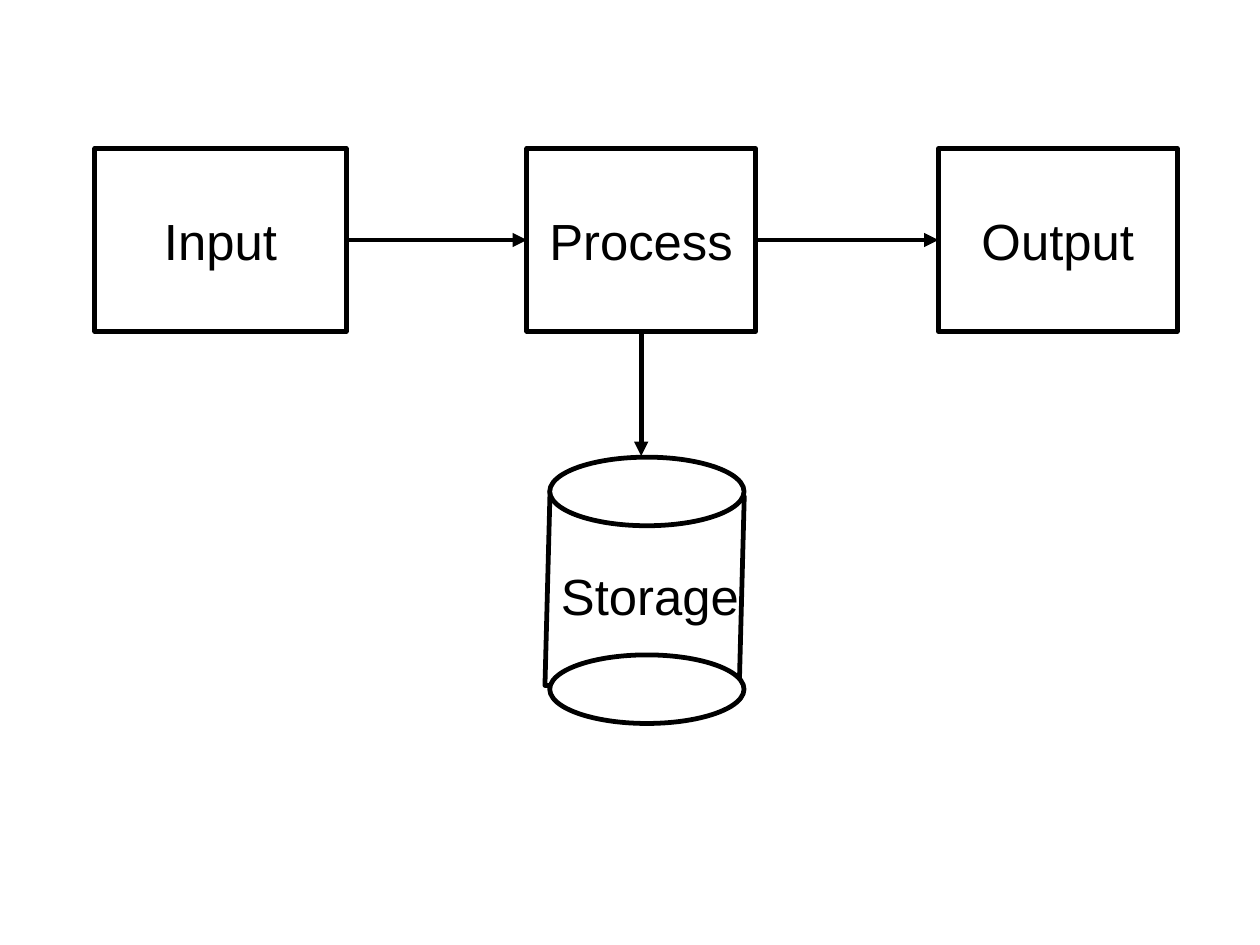
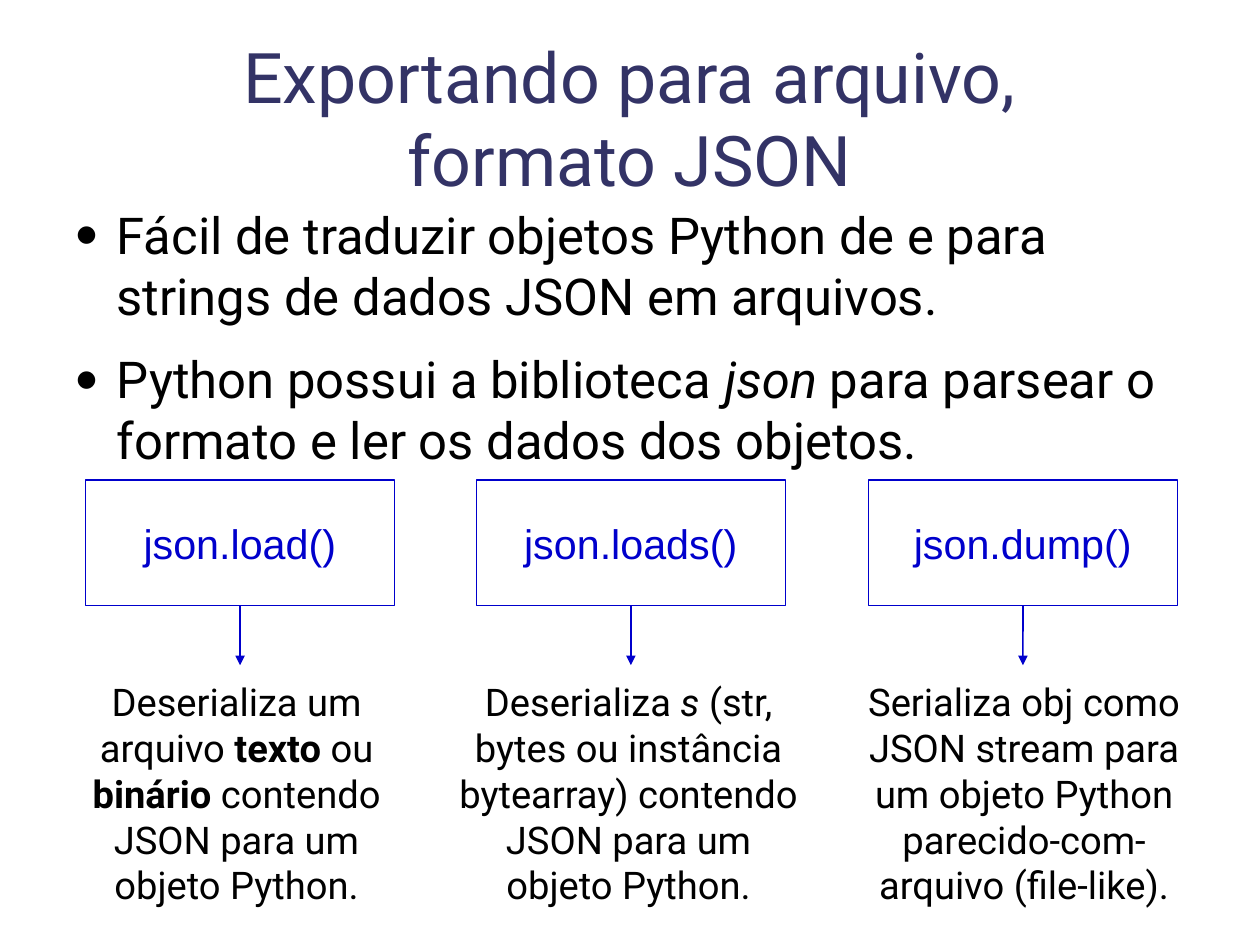
from lxml import etree
from pptx import Presentation
from pptx.dml.color import RGBColor
from pptx.enum.shapes import MSO_CONNECTOR, MSO_SHAPE
from pptx.enum.text import MSO_ANCHOR, PP_ALIGN
from pptx.oxml.ns import qn
from pptx.util import Inches, Pt

STRAIGHT = MSO_CONNECTOR.STRAIGHT
RECT, OVAL = MSO_SHAPE.RECTANGLE, MSO_SHAPE.OVAL
TOP, MIDDLE = MSO_ANCHOR.TOP, MSO_ANCHOR.MIDDLE
LEFT, CENTER = PP_ALIGN.LEFT, PP_ALIGN.CENTER
SIDE_LEFT, SIDE_BOTTOM, SIDE_RIGHT = 1, 2, 3

CM_PER_INCH = 2.54
SLIDE_W, SLIDE_H = Inches(28 / CM_PER_INCH), Inches(21 / CM_PER_INCH)

BLACK = RGBColor(0x00, 0x00, 0x00)
WHITE = RGBColor(0xFF, 0xFF, 0xFF)
NAVY = RGBColor(0x33, 0x33, 0x66)
BLUE = RGBColor(0x00, 0x00, 0xCC)
ARIAL, ROBOTO = "Arial", "Roboto"


def add_runs(p, runs, size, font, color):
    for text, style in runs:
        r = p.add_run()
        r.text = text
        r.font.size = Pt(size)
        r.font.name = font
        r.font.color.rgb = color
        r.font.bold = style == "b"
        r.font.italic = style == "i"


def add_box(slide, kind, at, color, width, label=None, size=32):
    sp = slide.shapes.add_shape(kind, *map(Inches, at))
    sp.shadow.inherit = False
    sp.fill.solid()
    sp.fill.fore_color.rgb = WHITE
    sp.line.color.rgb = color
    sp.line.width = Pt(width)
    if label:
        tf = sp.text_frame
        tf.word_wrap = False
        tf.vertical_anchor = MIDDLE
        p = tf.paragraphs[0]
        p.alignment = CENTER
        add_runs(p, [(label, "")], size, ARIAL, color)
    return sp


def add_arrow(slide, box, side, end, color, width, target=None):
    x, y = map(Inches, end)
    cxn = slide.shapes.add_connector(STRAIGHT, x, y, x, y)
    cxn.begin_connect(box, side)
    if target:
        cxn.end_connect(target, SIDE_LEFT)
    cxn.line.color.rgb = color
    cxn.line.width = Pt(width)
    etree.SubElement(cxn.line._get_or_add_ln(), qn("a:tailEnd"), type="triangle")
    etree.SubElement(cxn._element.spPr, qn("a:effectLst"))


def add_text(slide, at, size, font=ROBOTO, runs=(), align=LEFT, color=BLACK,
             insets=(0.1, 0.05), anchor=TOP):
    tf = slide.shapes.add_textbox(*map(Inches, at)).text_frame
    tf.word_wrap = True
    tf.vertical_anchor = anchor
    tf.margin_left = tf.margin_right = Inches(insets[0])
    tf.margin_top = tf.margin_bottom = Inches(insets[1])
    p = tf.paragraphs[0]
    p.alignment = align
    add_runs(p, runs, size, font, color)
    return tf


def add_title(slide, lines):
    tf = add_text(slide, (0.55, 0.19, 9.92, 1.67), 44, align=CENTER,
                  insets=(0, 0), anchor=MIDDLE)
    p = tf.paragraphs[0]
    for i, line in enumerate(lines):
        if i:
            p.add_line_break()
        add_runs(p, [(line, "")], 44, ROBOTO, NAVY)


def add_bullets(slide, items):
    tf = add_text(slide, (0.55, 1.78, 9.92, 4.79), 32, insets=(0, 0))
    for i, runs in enumerate(items):
        p = tf.add_paragraph() if i else tf.paragraphs[0]
        p.space_before = Pt(14.2)
        add_runs(p, runs, 32, ROBOTO, BLACK)
        pPr = p._p.get_or_add_pPr()
        pPr.set("marL", str(Inches(0.47)))
        pPr.set("indent", str(Inches(-0.35)))
        etree.SubElement(pPr, qn("a:buSzPct"), val="45000")
        etree.SubElement(pPr, qn("a:buFont"), typeface=ROBOTO)
        etree.SubElement(pPr, qn("a:buChar"), char="●")


def build_flow(slide):
    add_box(slide, RECT, (4.79, 4.32, 1.7, 1.7), BLACK, 3).rotation = 1.5
    source, process, output = [
        add_box(slide, RECT, (x, 1.3, w, 1.6), BLACK, 3, label)
        for label, x, w in (("Input", 0.83, 2.2), ("Process", 4.61, 2),
                            ("Output", 8.21, 2.09))]
    add_arrow(slide, source, SIDE_RIGHT, (4.61, 2.1), BLACK, 3, process)
    add_arrow(slide, process, SIDE_RIGHT, (8.21, 2.1), BLACK, 3, output)
    add_arrow(slide, process, SIDE_BOTTOM, (5.61, 3.99), BLACK, 3)
    for y in (4, 5.73):
        add_box(slide, OVAL, (4.81, y, 1.7, 0.6), BLACK, 3)
    add_text(slide, (4.81, 4.89, 1.9, 0.6), 32, ARIAL, [("Storage", "")])


def build_json(slide):
    add_title(slide, ("Exportando para arquivo,", "formato JSON"))
    add_bullets(slide, (
        [("Fácil de traduzir objetos Python de e para strings de dados JSON "
          "em arquivos.", "")],
        [("Python possui a biblioteca ", ""), ("json", "i"),
         (" para parsear o formato e ler os dados dos objetos.", "")],
    ))
    functions = (
        ("json.load()", 0.75, 0.47,
         [("Deserializa um arquivo ", ""), ("texto", "b"), (" ou ", ""),
          ("binário", "b"), (" contendo JSON para um objeto Python.", "")]),
        ("json.loads()", 4.17, 3.9,
         [("Deserializa ", ""), ("s", "i"),
          (" (str, bytes ou instância bytearray) contendo JSON para um "
           "objeto Python.", "")]),
        ("json.dump()", 7.6, 7.36,
         [("Serializa obj como JSON stream para um objeto Python "
           "parecido-com-arquivo (file-like).", "")]),
    )
    box_w = 2.7
    for name, box_x, text_x, runs in functions:
        box = add_box(slide, RECT, (box_x, 4.2, box_w, 1.1), BLUE, 0, name, 26)
        add_arrow(slide, box, SIDE_BOTTOM, (box_x + box_w / 2, 5.82), BLUE, 1)
        add_text(slide, (text_x, 5.89, 3.2, 2.37), 24, runs=runs, align=CENTER)


def main():
    prs = Presentation()
    prs.slide_width, prs.slide_height = SLIDE_W, SLIDE_H
    blank = prs.slide_layouts[6]
    for build in (build_flow, build_json):
        build(prs.slides.add_slide(blank))
    prs.save("out.pptx")


if __name__ == "__main__":
    main()
